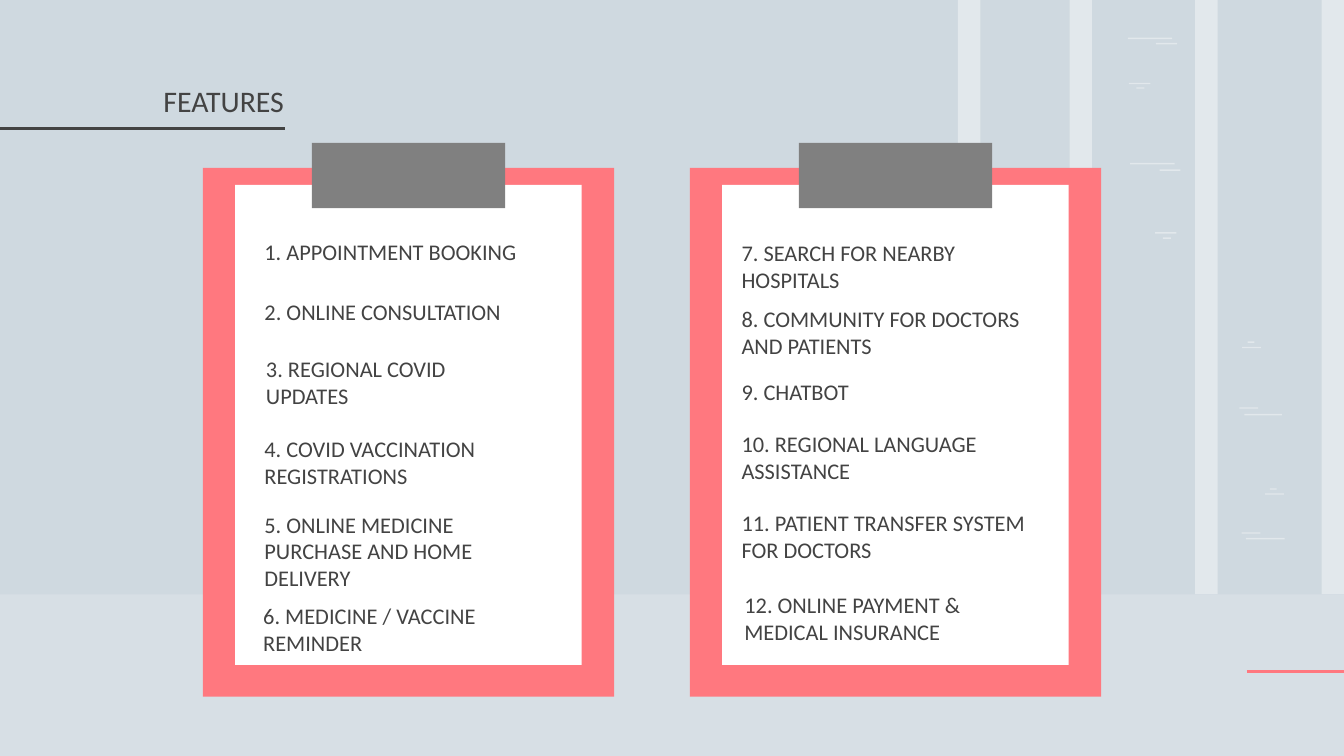
from dataclasses import dataclass

import lxml.etree
import pptx
import pptx.dml.color
import pptx.enum.shapes
import pptx.enum.text
import pptx.oxml.ns
import pptx.util

Pt = pptx.util.Pt
qn = pptx.oxml.ns.qn
INK, CORAL, WHITE, GREY, SKY = "434343", "FF787F", "FFFFFF", "808080", "CFD9E0"
INSET = 7.2


@dataclass
class Feature:
    wording: str
    left: float
    top: float
    width: float
    height: float = 37.4


@dataclass
class Clipboard:
    left: float
    features: list[Feature]


@dataclass
class BarkMark:
    left: float
    top: float
    width: float


def paint(target, colour: str) -> None:
    """Set a fill or a line fill to one solid colour."""
    target.solid()
    target.fore_color.rgb = pptx.dml.color.RGBColor.from_string(colour)


def draw_block(slide, left: float, top: float, width: float, height: float,
               colour: str, opacity: int = 100) -> None:
    block = slide.shapes.add_shape(pptx.enum.shapes.MSO_SHAPE.RECTANGLE,
                                   Pt(left), Pt(top), Pt(width), Pt(height))
    block.shadow.inherit = False
    block.line.fill.background()
    paint(block.fill, colour)
    if opacity < 100:
        tint = block._element.spPr.find(f"{qn('a:solidFill')}/{qn('a:srgbClr')}")
        lxml.etree.SubElement(tint, qn("a:alpha"), val=str(opacity * 1000))


def draw_rule(slide, start: float, end: float, top: float, colour: str) -> None:
    rule = slide.shapes.add_connector(pptx.enum.shapes.MSO_CONNECTOR.STRAIGHT,
                                      Pt(start), Pt(top), Pt(end), Pt(top))
    paint(rule.line.fill, colour)
    rule.line.width = Pt(1.5)
    lxml.etree.SubElement(rule._element.spPr, qn("a:effectLst"))


def write(slide, feature: Feature, size: float = 12,
          align=pptx.enum.text.PP_ALIGN.LEFT,
          anchor=pptx.enum.text.MSO_ANCHOR.TOP) -> None:
    box = slide.shapes.add_textbox(Pt(feature.left), Pt(feature.top),
                                   Pt(feature.width), Pt(feature.height))
    frame = box.text_frame
    frame.word_wrap = True
    frame.vertical_anchor = anchor
    frame.margin_left = frame.margin_right = Pt(INSET)
    frame.margin_top = frame.margin_bottom = Pt(INSET)
    frame.text = feature.wording
    paragraph = frame.paragraphs[0]
    paragraph.alignment = align
    font = paragraph.runs[0].font
    font.name, font.size = "Calibri", Pt(size)
    paint(font.fill, INK)


def draw_clipboard(slide, clipboard: Clipboard) -> None:
    left = clipboard.left
    draw_block(slide, left, 90, 220.3, 283.2, CORAL)
    draw_block(slide, left + 17.3, 99, 185.6, 257.2, WHITE)
    draw_block(slide, left + 58.4, 76.5, 103.5, 35, GREY)
    for feature in clipboard.features:
        write(slide, feature)


TRUNKS = [513.2, 573, 640.3, 708]
BARK = [
    BarkMark(604.2, 20.2, 23.8), BarkMark(619.2, 23, 11.5),
    BarkMark(604.8, 44.4, 11.5), BarkMark(608.8, 46.8, 4.3),
    BarkMark(605.5, 87.3, 23.8), BarkMark(621.2, 90.8, 11.2),
    BarkMark(618.8, 124.4, 11.5), BarkMark(623, 127.2, 4.3),
    BarkMark(665.5, 185.8, 10.1), BarkMark(668.4, 182.9, 3.6),
    BarkMark(664, 218.2, 10.1), BarkMark(666.6, 221.8, 20.2),
    BarkMark(680.3, 261.6, 3.6), BarkMark(677.7, 264.3, 10.1),
    BarkMark(665.2, 285.2, 10.1), BarkMark(667.4, 288.2, 20.9),
]
CLIPBOARDS = [
    Clipboard(369.6, [
        Feature("7. SEARCH FOR NEARBY HOSPITALS", 390.2, 121, 167.8),
        Feature("8. COMMUNITY FOR DOCTORS AND PATIENTS", 390.2, 156.2, 177.8),
        Feature("9. CHATBOT", 390.2, 195.1, 153.4),
        Feature("10. REGIONAL LANGUAGE ASSISTANCE", 390.2, 223.2, 177.8),
        Feature("11. PATIENT TRANSFER SYSTEM FOR DOCTORS", 390.2, 265.7, 177.8),
        Feature("12. ONLINE PAYMENT & MEDICAL INSURANCE", 391.7, 309.6, 153.4),
    ]),
    Clipboard(108.7, [
        Feature("1. APPOINTMENT BOOKING", 134.6, 120.2, 161.3),
        Feature("2. ONLINE CONSULTATION", 134.6, 152.6, 169.2),
        Feature("3. REGIONAL COVID UPDATES", 135.4, 182.9, 153.4),
        Feature("4. COVID VACCINATION REGISTRATIONS", 134.6, 226.1, 177.1),
        Feature("5. ONLINE MEDICINE PURCHASE AND HOME DELIVERY", 134.6, 266.4, 141.8),
        Feature("6. MEDICINE / VACCINE REMINDER", 133.9, 315.4, 154.8),
    ]),
]


def main() -> None:
    deck = pptx.Presentation()
    deck.slide_width, deck.slide_height = Pt(720), Pt(405)
    slide = deck.slides.add_slide(deck.slide_layouts[6])
    paint(slide.background.fill, SKY)

    # Birch trunks, bark and ground
    for left in TRUNKS:
        draw_block(slide, left, 0, 12, 318.4, WHITE, 40)
    for mark in BARK:
        draw_block(slide, mark.left, mark.top, mark.width, 0.8, WHITE, 40)
    draw_block(slide, 0, 318.4, 720, 86.6, WHITE, 17)

    # Accent rules
    draw_rule(slide, 668, 720, 359.8, CORAL)
    draw_rule(slide, -1.4, 152.6, 68.8, INK)

    # Heading
    write(slide, Feature("FEATURES", -1.4, 47.5, 160.6, 23), 16,
          pptx.enum.text.PP_ALIGN.RIGHT, pptx.enum.text.MSO_ANCHOR.BOTTOM)

    # Feature clipboards
    for clipboard in CLIPBOARDS:
        draw_clipboard(slide, clipboard)

    deck.save("out.pptx")


if __name__ == "__main__":
    main()
